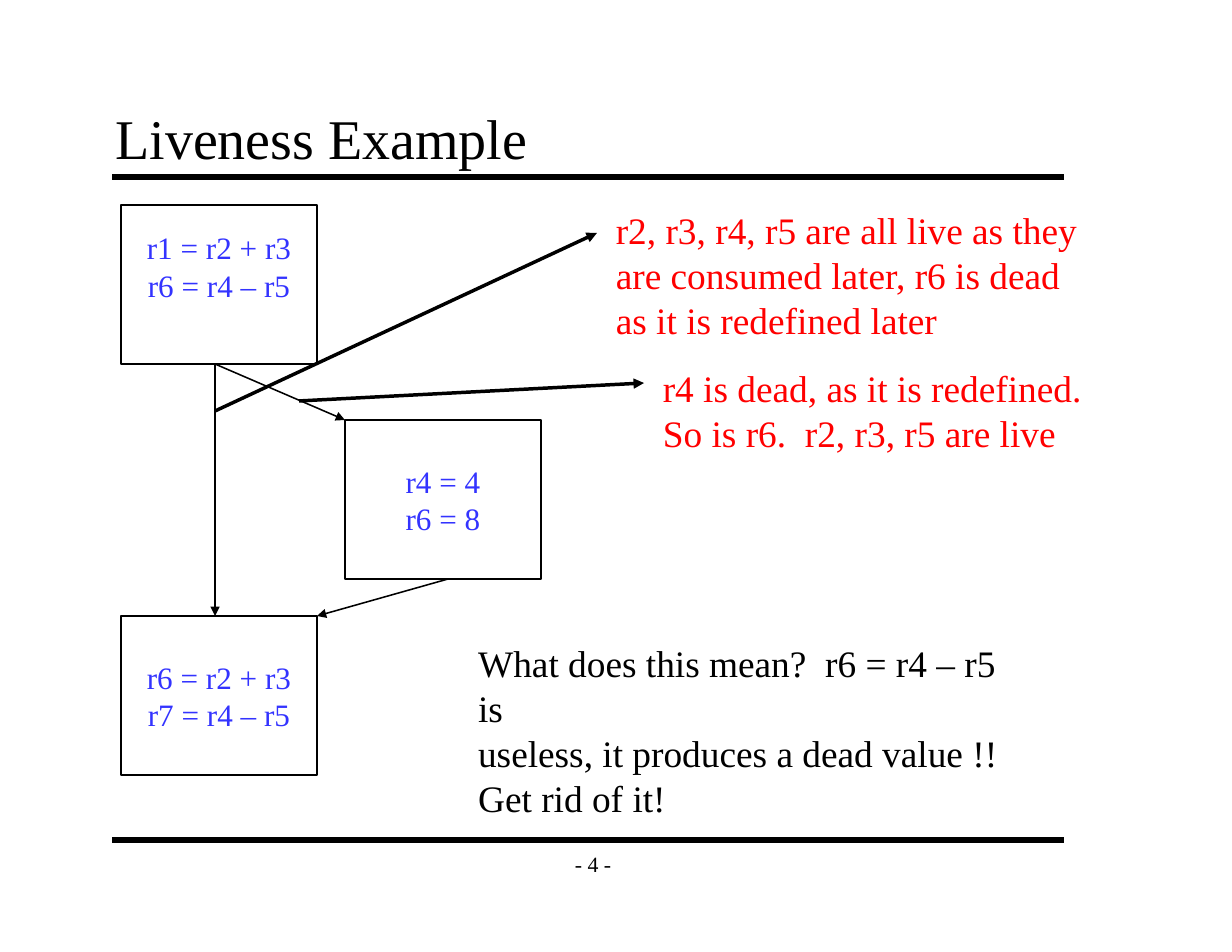
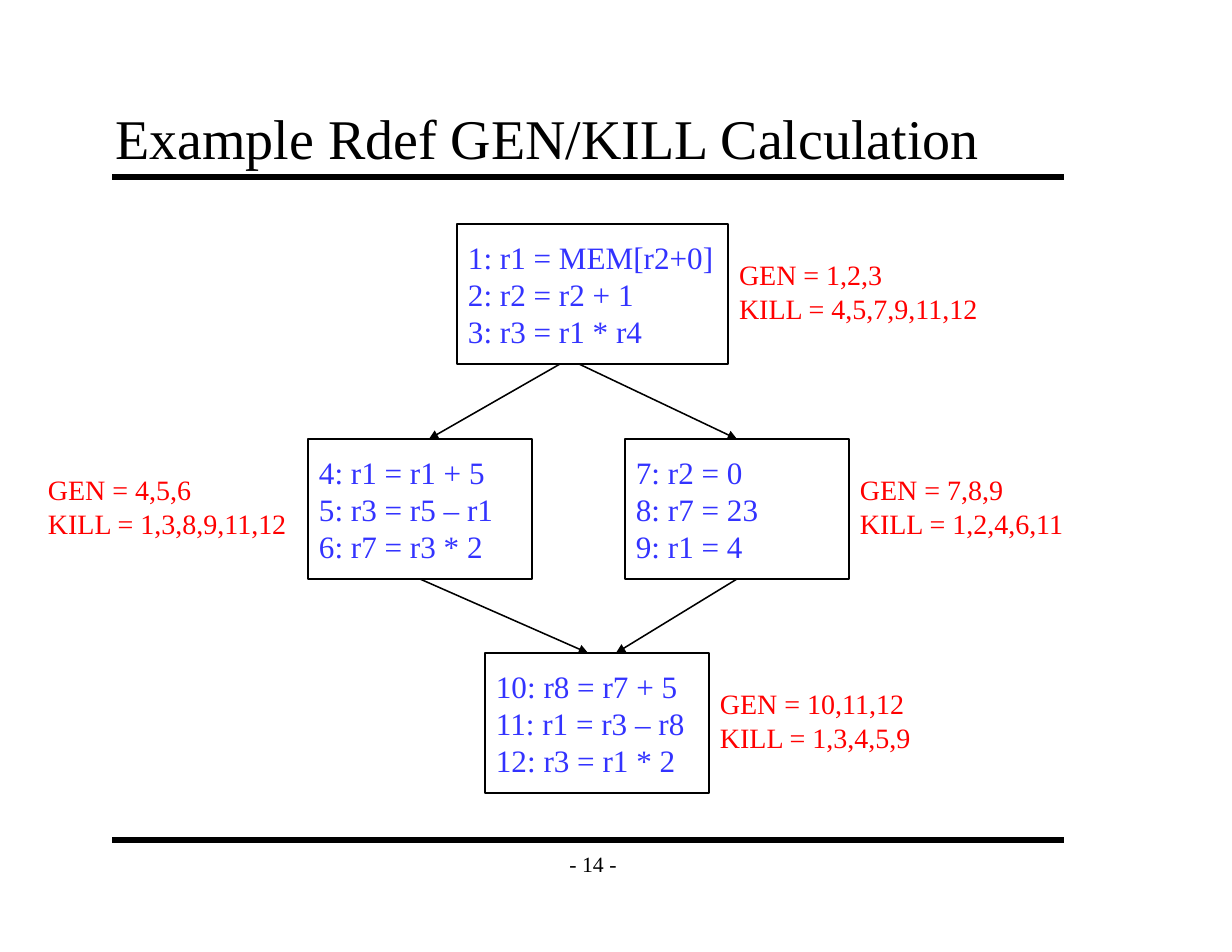
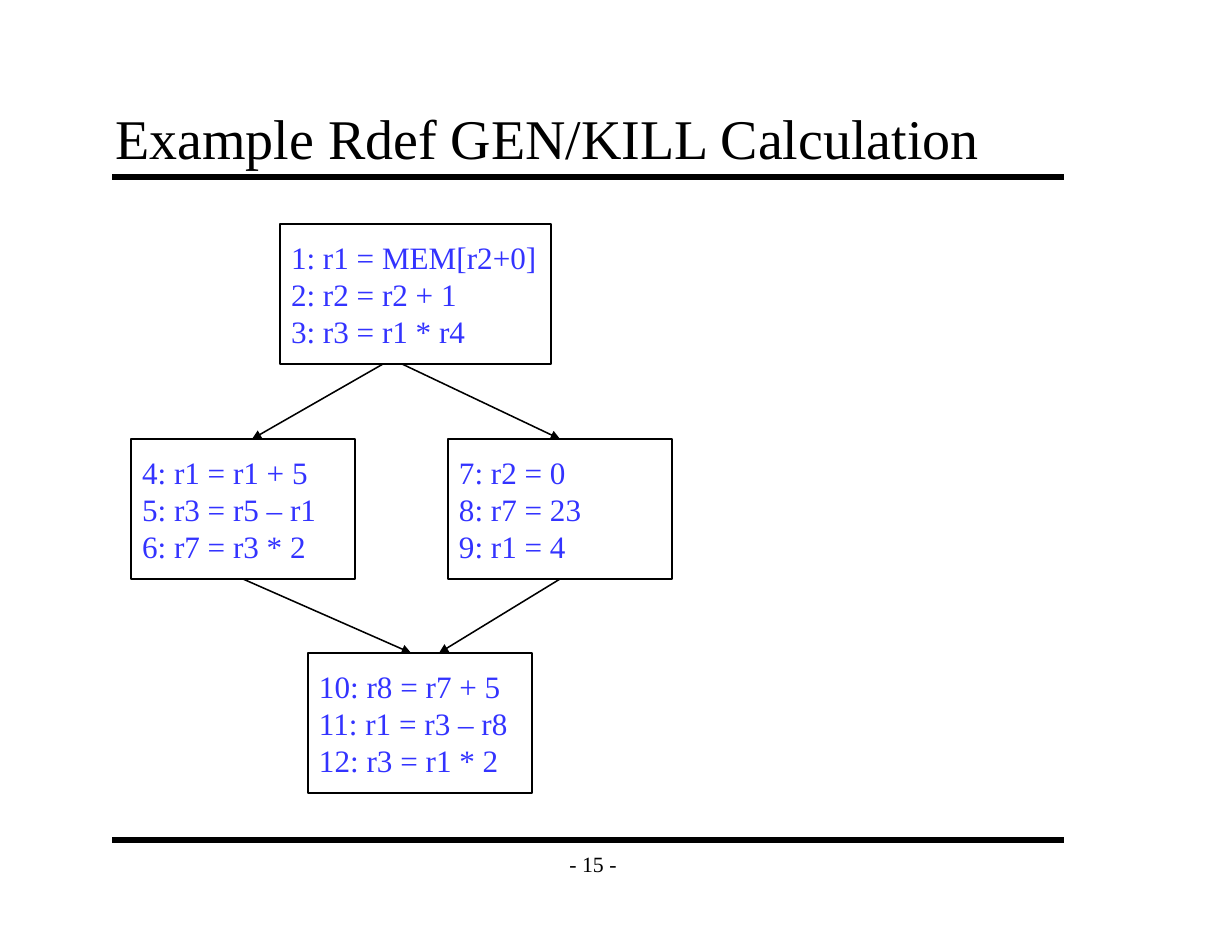
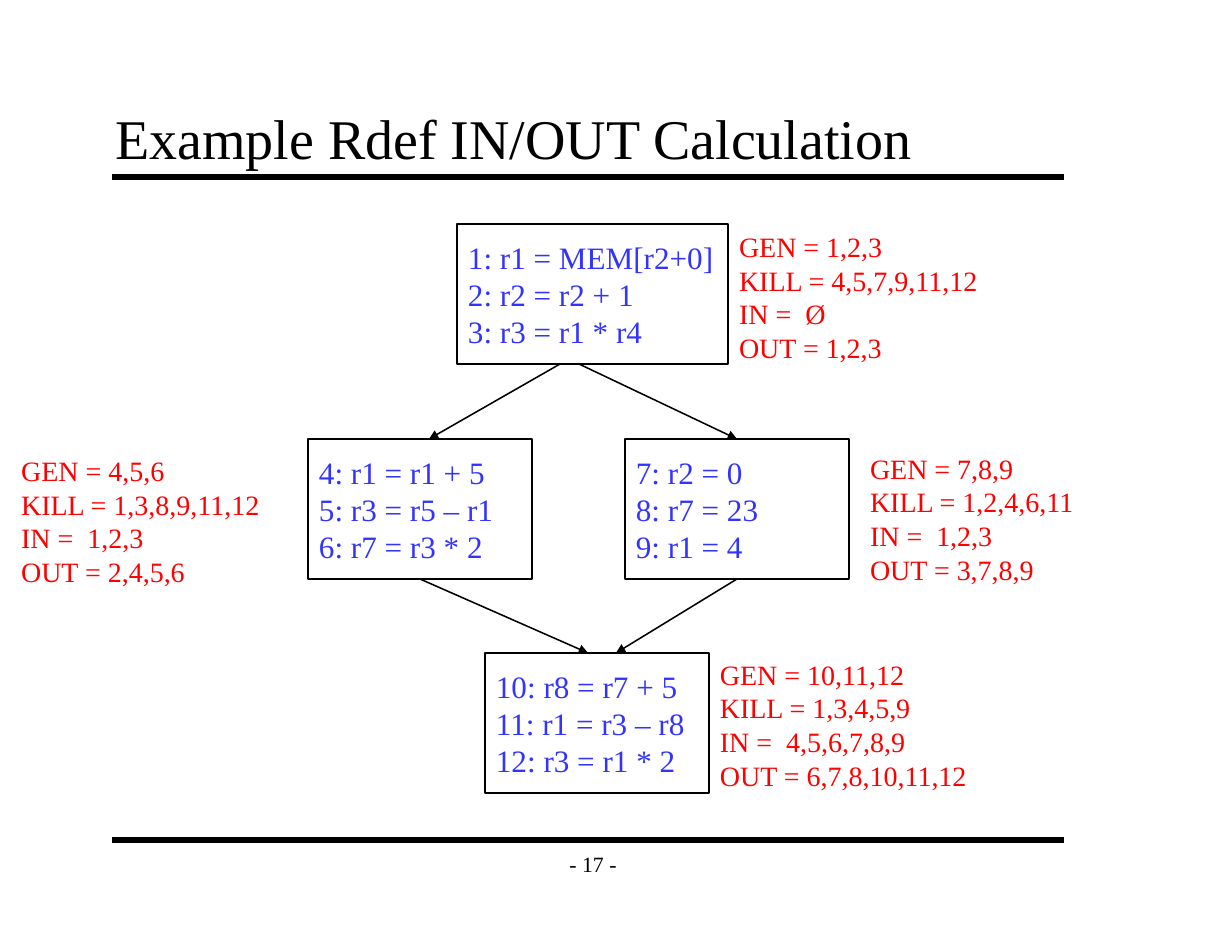
import pptx
import pptx.dml.color
import pptx.enum.shapes
import pptx.enum.text
import pptx.oxml
import pptx.oxml.ns
import pptx.util

Inches = pptx.util.Inches
ALIGN = pptx.enum.text.PP_ALIGN
ANCHOR = pptx.enum.text.MSO_ANCHOR
AUTOSIZE = pptx.enum.text.MSO_AUTO_SIZE

FONT = "Times New Roman"
BLACK, BLUE, RED, WHITE = "000000", "3333FF", "FF0000", "FFFFFF"
RULE_LEFT, RULE_RIGHT = 1, 9.5
RULE_TOPS = (1.58, 7.5)
HEADER_INSETS = (0.11, 0.06, 0.11, 0.06)
BODY_INSETS = (0.1, 0.05, 0.1, 0.05)
EMPTY_LAST_LINE = (0.1, 0.05, 0.1, 0.38)

LIVENESS_SIZE = (1.75, 1.42)
LIVENESS_BLOCKS = [
    (1.08, 1.83, ["r1 = r2 + r3", "r6 = r4 – r5"], EMPTY_LAST_LINE),
    (3.08, 3.75, ["r4 = 4", "r6 = 8"], BODY_INSETS),
    (1.08, 5.5, ["r6 = r2 + r3", "r7 = r4 – r5"], BODY_INSETS),
]
LIVENESS_ARROWS = [
    (1.92, 3.25, 3.08, 3.75, 1),
    (1.92, 3.25, 1.92, 5.5, 1),
    (4, 5.17, 2.83, 5.5, 1),
    (2.67, 3.58, 5.75, 3.42, 2.25),
    (1.92, 3.67, 5.33, 2.08, 2.25),
]
LIVENESS_REMARKS = [
    (5.4, 1.8, 4.32, RED, ["r2, r3, r4, r5 are all live as they",
                           "are consumed later, r6 is dead",
                           "as it is redefined later"]),
    (5.82, 3.21, 3.94, RED, ["r4 is dead, as it is redefined.",
                             "So is r6.  r2, r3, r5 are live"]),
    (4.17, 5.67, 5.12, BLACK, ["What does this mean?  r6 = r4 – r5 is",
                               "useless, it produces a dead value !!",
                               "Get rid of it!"]),
]

FLOW_HEIGHT = 1.25
FLOW_BLOCKS = [
    (4.08, 2, 2.42, ["1: r1 = MEM[r2+0]", "2: r2 = r2 + 1", "3: r3 = r1 * r4"]),
    (2.75, 3.92, 2, ["4: r1 = r1 + 5", "5: r3 = r5 – r1", "6: r7 = r3 * 2"]),
    (5.58, 3.92, 2, ["7: r2 = 0", "8: r7 = 23", "9: r1 = 4"]),
    (4.33, 5.83, 2, ["10: r8 = r7 + 5", "11: r1 = r3 – r8", "12: r3 = r1 * 2"]),
]
FLOW_ARROWS = [
    (5, 3.25, 3.83, 3.92),
    (5.17, 3.25, 6.58, 3.92),
    (6.58, 5.17, 5.5, 5.83),
    (3.75, 5.17, 5.25, 5.83),
]
GEN_KILL = [
    ["GEN = 1,2,3", "KILL = 4,5,7,9,11,12"],
    ["GEN = 7,8,9", "KILL = 1,2,4,6,11"],
    ["GEN = 10,11,12", "KILL = 1,3,4,5,9"],
    ["GEN = 4,5,6", "KILL = 1,3,8,9,11,12"],
]
IN_OUT = [
    ["IN =  Ø", "OUT = 1,2,3"],
    ["IN =  1,2,3", "OUT = 3,7,8,9"],
    ["IN =  4,5,6,7,8,9", "OUT = 6,7,8,10,11,12"],
    ["IN =  1,2,3", "OUT = 2,4,5,6"],
]
GEN_KILL_PLACES = [(6.5, 2.25, 2.41), (7.58, 4.17, 2.04), (6.33, 6.08, 1.91), (0.33, 4.17, 2.35)]
IN_OUT_PLACES = [(6.5, 2, 2.41), (7.67, 3.98, 2.04), (6.33, 5.82, 2.43), (0.09, 4, 2.36)]
ALL_SETS = [first + second for first, second in zip(GEN_KILL, IN_OUT)]

FLOW_PAGES = [
    ("Example Rdef GEN/KILL Calculation", 14, 0, GEN_KILL_PLACES, GEN_KILL),
    ("Example Rdef GEN/KILL Calculation", 15, -1.58, [], []),
    ("Example Rdef IN/OUT Calculation", 17, 0, IN_OUT_PLACES, ALL_SETS),
]


def rgb(value):
    return pptx.dml.color.RGBColor.from_string(value)


def write(box, lines, size, color, align=ALIGN.LEFT, anchor=ANCHOR.TOP,
          insets=BODY_INSETS, wrap=False, fit=AUTOSIZE.NONE):
    frame = box.text_frame
    frame.text = "\n".join(lines)
    frame.word_wrap = wrap
    frame.auto_size = fit
    frame.vertical_anchor = anchor
    (frame.margin_left, frame.margin_top,
     frame.margin_right, frame.margin_bottom) = map(Inches, insets)
    for para in frame.paragraphs:
        para.alignment = align
        for span in para.runs:
            span.font.name = FONT
            span.font.size = pptx.util.Pt(size)
            span.font.color.rgb = rgb(color)


def add_line(page, left, top, right, bottom, width, arrow=False):
    line = page.shapes.add_connector(
        pptx.enum.shapes.MSO_CONNECTOR.STRAIGHT, *map(Inches, (left, top, right, bottom)))
    line.line.color.rgb = rgb(BLACK)
    line.line.width = pptx.util.Pt(width)
    properties = line.element.spPr
    if arrow:
        outline = properties.find(pptx.oxml.ns.qn("a:ln"))
        head = pptx.oxml.parse_xml(f'<a:tailEnd {pptx.oxml.ns.nsdecls("a")} type="triangle"/>')
        outline.append(head)
    properties.append(pptx.oxml.parse_xml(f'<a:effectLst {pptx.oxml.ns.nsdecls("a")}/>'))


def add_block(page, left, top, width, height, lines, align, insets=BODY_INSETS):
    block = page.shapes.add_shape(
        pptx.enum.shapes.MSO_SHAPE.RECTANGLE, *map(Inches, (left, top, width, height)))
    block.shadow.inherit = False
    block.fill.background()
    block.line.color.rgb = rgb(BLACK)
    block.line.width = pptx.util.Pt(1)
    write(block, lines, 20, BLUE, align, ANCHOR.MIDDLE, insets)


def add_remark(page, left, top, width, lines, size, color):
    height = 0.1 + len(lines) * size * 1.2 / 72
    box = page.shapes.add_textbox(*map(Inches, (left, top, width, height)))
    write(box, lines, size, color, fit=AUTOSIZE.SHAPE_TO_FIT_TEXT)


def add_page(deck, title, number):
    page = deck.slides.add_slide(deck.slide_layouts.get_by_name("Title Only"))
    page.background.fill.solid()
    page.background.fill.fore_color.rgb = rgb(WHITE)
    heading = page.shapes.title
    heading.left, heading.top, heading.width, heading.height = map(Inches, (0.92, 0.91, 8.5, 0.67))
    write(heading, [title], 36, BLACK, anchor=ANCHOR.BOTTOM, insets=HEADER_INSETS, wrap=True)
    for top in RULE_TOPS:
        add_line(page, RULE_LEFT, top, RULE_RIGHT, top, 4)
    footer = page.shapes.add_textbox(*map(Inches, (4.92, 7.5, 0.75, 0.42)))
    write(footer, [f"- {number} -"], 14, BLACK, ALIGN.CENTER, ANCHOR.MIDDLE, HEADER_INSETS)
    return page


def add_liveness_page(deck):
    page = add_page(deck, "Liveness Example", 4)
    for left, top, lines, insets in LIVENESS_BLOCKS:
        add_block(page, left, top, *LIVENESS_SIZE, lines, ALIGN.CENTER, insets)
    for arrow in LIVENESS_ARROWS:
        add_line(page, *arrow, arrow=True)
    for left, top, width, color, lines in LIVENESS_REMARKS:
        add_remark(page, left, top, width, lines, 24, color)


def add_flow_page(deck, title, number, shift, places, sets):
    page = add_page(deck, title, number)
    for left, top, width, lines in FLOW_BLOCKS:
        add_block(page, left + shift, top, width, FLOW_HEIGHT, lines, ALIGN.LEFT)
    for left, top, right, bottom in FLOW_ARROWS:
        add_line(page, left + shift, top, right + shift, bottom, 1, arrow=True)
    for place, lines in zip(places, sets):
        add_remark(page, *place, lines, 18, RED)


def main():
    deck = pptx.Presentation()
    deck.slide_width, deck.slide_height = Inches(11), Inches(8.5)
    add_liveness_page(deck)
    for flow_page in FLOW_PAGES:
        add_flow_page(deck, *flow_page)
    deck.save("out.pptx")


if __name__ == "__main__":
    main()
